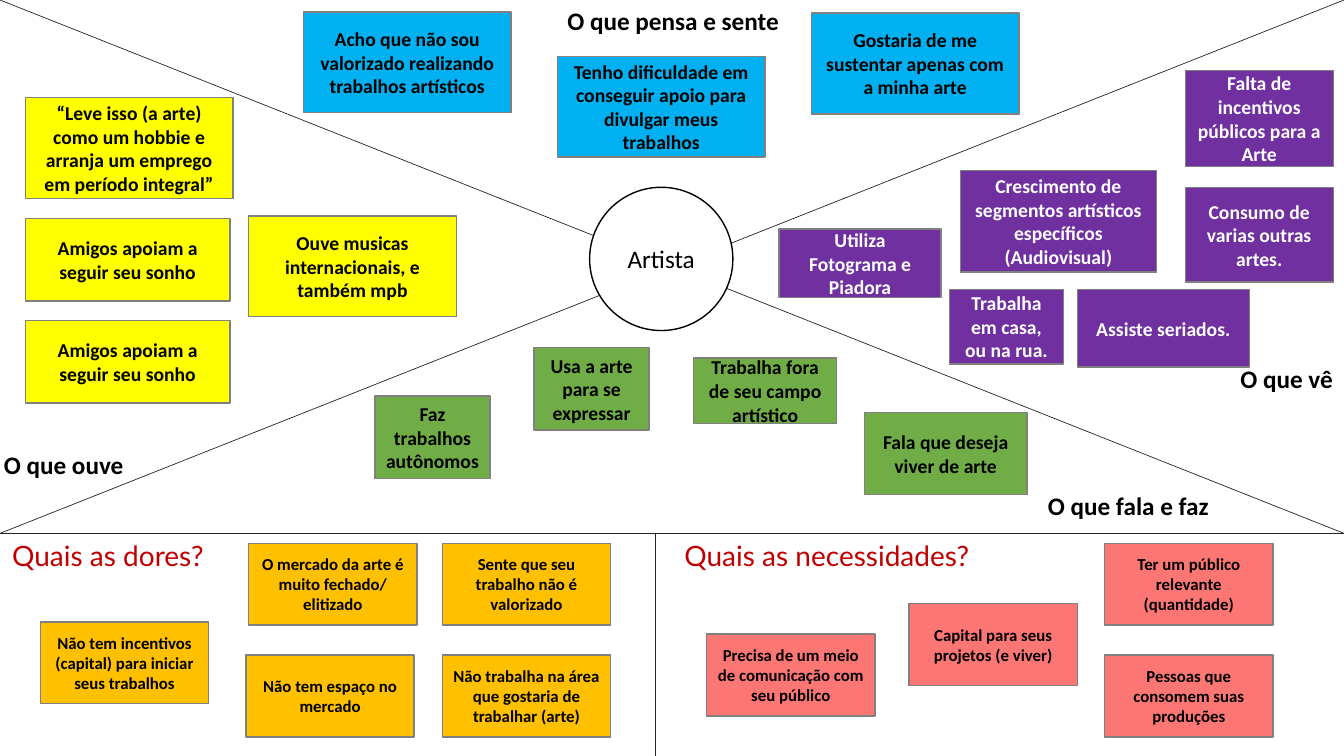
from pptx import Presentation
from pptx.dml.color import RGBColor
from pptx.enum.shapes import MSO_CONNECTOR, MSO_SHAPE
from pptx.enum.text import MSO_ANCHOR, MSO_AUTO_SIZE, PP_ALIGN
from pptx.oxml.ns import qn
from pptx.util import Cm, Pt
from lxml.etree import SubElement

BLACK = RGBColor(0x00, 0x00, 0x00)
WHITE = RGBColor(0xFF, 0xFF, 0xFF)
GRAY = RGBColor(0x80, 0x80, 0x80)
CHARCOAL = RGBColor(0x26, 0x26, 0x26)
RED = RGBColor(0xC0, 0x00, 0x00)
BLUE = RGBColor(0x00, 0xB0, 0xF0)
YELLOW = RGBColor(0xFF, 0xFF, 0x00)
GREEN = RGBColor(0x70, 0xAD, 0x47)
PURPLE = RGBColor(0x70, 0x30, 0xA0)
ORANGE = RGBColor(0xFF, 0xC0, 0x00)
PINK = RGBColor(0xFC, 0x77, 0x74)

WIDTH, HEIGHT = 33.87, 19.05
FLOOR = 13.44  # bottom of the empathy map
DIVIDER = 16.51  # between pains and needs

deck = Presentation()
deck.slide_width, deck.slide_height = Cm(WIDTH), Cm(HEIGHT)
page = deck.slides.add_slide(deck.slide_layouts[6])


def write(box, text, size=14, color=BLACK, bold=True, font="Calibri", align=PP_ALIGN.CENTER):
    para = box.text_frame.paragraphs[0]
    para.alignment = align
    span = para.add_run()
    span.text = text
    span.font.name = font
    span.font.size = Pt(size)
    span.font.bold = bold
    span.font.color.rgb = color


def add_card(text, left, top, width, height, fill, kind=MSO_SHAPE.RECTANGLE, line=GRAY, **style):
    card = page.shapes.add_shape(kind, Cm(left), Cm(top), Cm(width), Cm(height))
    card.shadow.inherit = False
    card.fill.solid()
    card.fill.fore_color.rgb = fill
    card.line.color.rgb = line
    card.line.width = Pt(1)
    card.text_frame.word_wrap = True
    card.text_frame.vertical_anchor = MSO_ANCHOR.MIDDLE
    write(card, text, **style)


# Dividing lines
for x1, y1, x2, y2 in [
    (WIDTH, 0, 0, FLOOR),
    (WIDTH, FLOOR, 0, 0),
    (WIDTH, FLOOR, 0, FLOOR),
    (DIVIDER, HEIGHT, DIVIDER, FLOOR),
]:
    divider = page.shapes.add_connector(MSO_CONNECTOR.STRAIGHT, Cm(x1), Cm(y1), Cm(x2), Cm(y2))
    divider.line.color.rgb = CHARCOAL
    divider.line.width = Pt(0.5)
    SubElement(divider._element.spPr, qn("a:effectLst"))

# Section labels and titles
label = dict(size=18, align=PP_ALIGN.LEFT)
title = dict(size=20, color=RED, bold=False, font="Lato")
for text, left, top, width, height, style in [
    ("O que pensa e sente", 14.05, 0, 5.89, 1.02, label),
    ("O que vê", 31.01, 9.02, 2.87, 1.02, label),
    ("O que fala e faz", 26.16, 12.24, 4.6, 1.02, label),
    ("O que ouve", -0.15, 11.2, 3.56, 1.02, label),
    ("Quais as dores?", 0, FLOOR, 5.44, 1.12, title),
    ("Quais as necessidades?", 16.94, FLOOR, 7.8, 1.12, title),
]:
    box = page.shapes.add_textbox(Cm(left), Cm(top), Cm(width), Cm(height))
    box.text_frame.word_wrap = False
    box.text_frame.auto_size = MSO_AUTO_SIZE.SHAPE_TO_FIT_TEXT
    write(box, text, **style)

# Persona in the centre
add_card("Artista", 14.86, 4.72, 3.61, 3.61, WHITE, MSO_SHAPE.OVAL, BLACK, size=18, bold=False)

# Empathy map cards: text, left, top, width, height
thinks = [
    ("Acho que não sou valorizado realizando trabalhos artísticos", 7.65, 0.3, 5.23, 2.54),
    ("Tenho dificuldade em conseguir apoio para divulgar meus trabalhos", 14.05, 1.42, 5.23, 2.54),
    ("Gostaria de me sustentar apenas com a minha arte", 20.45, 0.33, 5.23, 2.54),
]
hears = [
    ("“Leve isso (a arte) como um hobbie e arranja um emprego em período integral”",
     0.64, 2.46, 5.23, 2.54),
    ("Ouve musicas internacionais, e também mpb", 6.27, 5.44, 5.23, 2.54),
    ("Amigos apoiam a seguir seu sonho", 0.64, 5.51, 5.16, 2.08),
    ("Amigos apoiam a seguir seu sonho", 0.64, 8.08, 5.16, 2.08),
]
sees = [
    ("Falta de incentivos públicos para a Arte", 29.87, 1.78, 3.73, 2.41),
    ("Crescimento de segmentos artísticos específicos (Audiovisual)", 24.21, 4.29, 4.93, 2.57),
    ("Consumo de varias outras artes.", 29.87, 4.72, 3.73, 2.39),
    ("Utiliza Fotograma e Piadora", 19.63, 5.77, 4.09, 1.73),
    ("Trabalha em casa, ou na rua.", 23.93, 7.29, 2.87, 1.88),
    ("Assiste seriados.", 27.15, 7.29, 4.34, 1.96),
]
says = [
    ("Faz trabalhos autônomos", 9.45, 9.98, 2.9, 2.08),
    ("Usa a arte para se expressar", 13.46, 8.76, 2.9, 2.08),
    ("Trabalha fora de seu campo artístico", 17.48, 9.02, 3.61, 1.65),
    ("Fala que deseja viver de arte", 21.79, 10.39, 4.09, 2.08),
]
for cards, fill, color in [
    (thinks, BLUE, BLACK),
    (hears, YELLOW, BLACK),
    (sees, PURPLE, WHITE),
    (says, GREEN, BLACK),
]:
    for text, left, top, width, height in cards:
        add_card(text, left, top, width, height, fill, color=color)

# Pains and needs, all cards of one size
UPPER, LOWER = 13.69, 16.51
pains = [
    ("Não tem incentivos (capital) para iniciar seus trabalhos", 1.02, 15.67),
    ("O mercado da arte é muito fechado/ elitizado", 6.27, UPPER),
    ("Sente que seu trabalho não é valorizado", 11.15, UPPER),
    ("Não tem espaço no mercado", 6.2, LOWER),
    ("Não trabalha na área que gostaria de trabalhar (arte)", 11.15, LOWER),
]
needs = [
    ("Precisa de um meio de comunicação com seu público", 17.81, 15.98),
    ("Capital para seus projetos (e viver)", 22.91, 15.21),
    ("Ter um público relevante (quantidade)", 27.84, UPPER),
    ("Pessoas que consomem suas produções", 27.84, LOWER),
]
for cards, fill in [(pains, ORANGE), (needs, PINK)]:
    for text, left, top in cards:
        add_card(text, left, top, 4.24, 2.06, fill, size=12)

deck.save("out.pptx")
